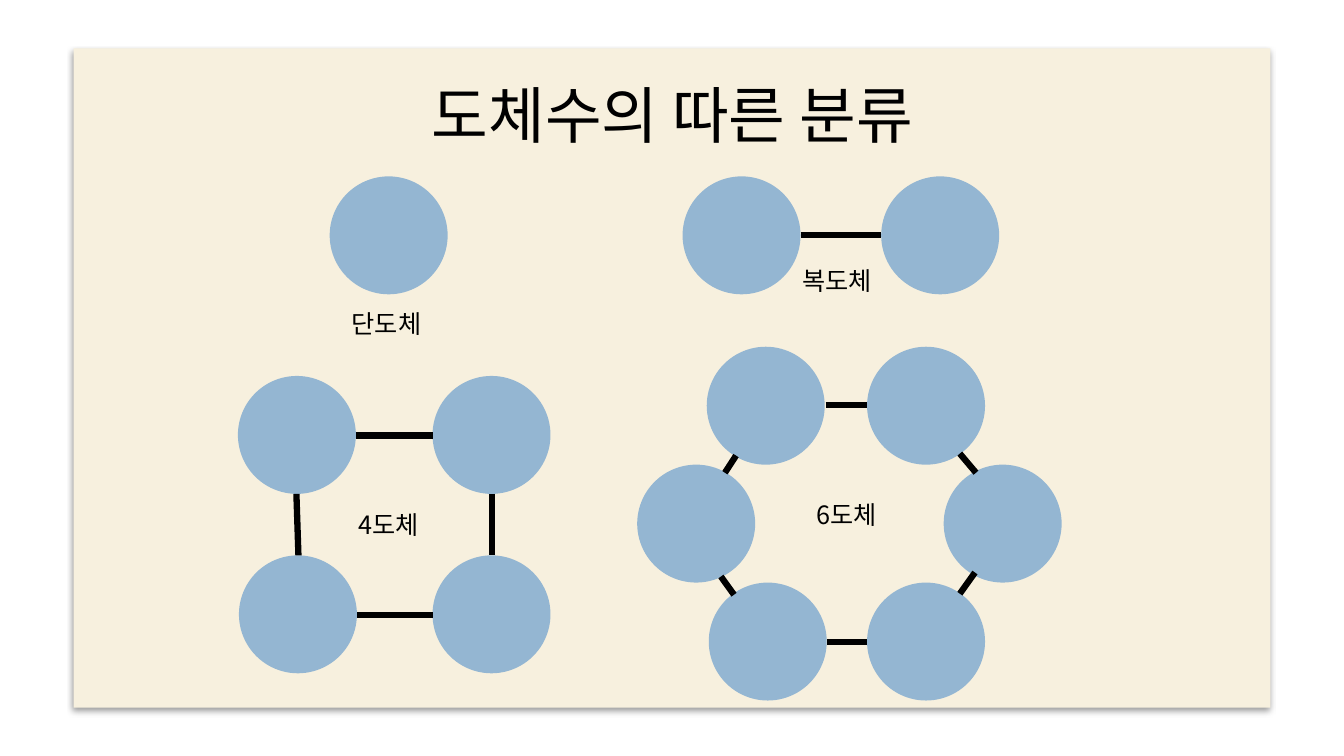
from dataclasses import dataclass

from lxml.etree import SubElement
from pptx import Presentation
from pptx.dml.color import RGBColor
from pptx.enum.shapes import MSO_CONNECTOR, MSO_SHAPE
from pptx.enum.text import MSO_ANCHOR, PP_ALIGN
from pptx.oxml.ns import qn
from pptx.util import Emu, Pt

EMU_PER_PX = 9144  # 100 px to the inch


@dataclass(frozen=True)
class Theme:
    font: str = "Noto Sans CJK KR"
    ink: str = "000000"
    panel: str = "F7F0DE"
    conductor: str = "94B6D2"
    title_size: int = 44
    label_size: int = 18
    wire_width: float = 4.5
    diameter: int = 117


def px(length):
    return Emu(length * EMU_PER_PX)


class ConductorSlide:
    def __init__(self, presentation, theme):
        self.theme = theme
        self.slide = presentation.slides.add_slide(presentation.slide_layouts[6])

    def filled_shape(self, kind, left, top, width, height, color):
        shape = self.slide.shapes.add_shape(kind, px(left), px(top), px(width), px(height))
        shape.shadow.inherit = False
        shape.fill.solid()
        shape.fill.fore_color.rgb = RGBColor.from_string(color)
        shape.line.fill.background()
        return shape

    def panel(self, left, top, width, height):
        shape = self.filled_shape(MSO_SHAPE.RECTANGLE, left, top, width, height, self.theme.panel)
        effects = shape._element.spPr.find(qn("a:effectLst"))
        shadow = SubElement(effects, qn("a:outerShdw"), blurRad=str(Pt(4)), dist=str(Pt(3)),
                            dir="5400000", algn="t", rotWithShape="0")
        color = SubElement(shadow, qn("a:srgbClr"), val=self.theme.ink)
        SubElement(color, qn("a:alpha"), val="40000")

    def conductor(self, left, top):
        diameter = self.theme.diameter
        self.filled_shape(MSO_SHAPE.OVAL, left, top, diameter, diameter, self.theme.conductor)

    def wire(self, start_x, start_y, end_x, end_y):
        connector = self.slide.shapes.add_connector(
            MSO_CONNECTOR.STRAIGHT, px(start_x), px(start_y), px(end_x), px(end_y))
        connector.line.color.rgb = RGBColor.from_string(self.theme.ink)
        connector.line.width = Pt(self.theme.wire_width)
        SubElement(connector._element.spPr, qn("a:effectLst"))

    def text(self, words, left, top, width, height, size, alignment=PP_ALIGN.LEFT,
             anchor=MSO_ANCHOR.TOP):
        box = self.slide.shapes.add_textbox(px(left), px(top), px(width), px(height))
        text_frame = box.text_frame
        text_frame.word_wrap = True
        text_frame.vertical_anchor = anchor
        text_frame.text = words
        paragraph = text_frame.paragraphs[0]
        paragraph.alignment = alignment
        for run in paragraph.runs:
            run.font.size = Pt(size)
            run.font.color.rgb = RGBColor.from_string(self.theme.ink)
            run.font.name = self.theme.font
            SubElement(run._r.get_or_add_rPr(), qn("a:ea"), typeface=self.theme.font)

    def bundle(self, name, label_box, conductors, wires):
        for position in conductors:
            self.conductor(*position)
        for ends in wires:
            self.wire(*ends)
        self.text(name, *label_box, self.theme.label_size)


# Each bundle: name, label box, conductor corners, wire ends
BUNDLES = [
    ("단도체", (339, 301, 108, 40), [(327, 175)], []),
    ("복도체", (786, 258, 110, 40), [(677, 175), (874, 175)], [(794, 233, 874, 233)]),
    ("4도체", (346, 500, 104, 40),
     [(429, 551), (237, 551), (429, 373), (236, 373)],
     [(353, 432, 429, 432), (488, 490, 488, 551),
      (429, 610, 354, 610), (294, 490, 296, 551)]),
    ("6도체", (800, 490, 113, 40),
     [(860, 578), (703, 578), (632, 461), (936, 461), (860, 344), (701, 344)],
     [(730, 452, 719, 469), (715, 572, 728, 590), (820, 637, 860, 637),
      (952, 589, 967, 568), (968, 469, 952, 450), (819, 402, 860, 402)]),
]


def main():
    presentation = Presentation()
    presentation.slide_width = px(1333)
    presentation.slide_height = px(750)
    theme = Theme()
    page = ConductorSlide(presentation, theme)

    # Background panel and title
    page.panel(73, 48, 1187, 654)
    page.text("도체수의 따른 분류", 67, 50, 1200, 125, theme.title_size,
              PP_ALIGN.CENTER, MSO_ANCHOR.MIDDLE)

    # Conductor bundles
    for bundle in BUNDLES:
        page.bundle(*bundle)

    presentation.save("out.pptx")


if __name__ == "__main__":
    main()
